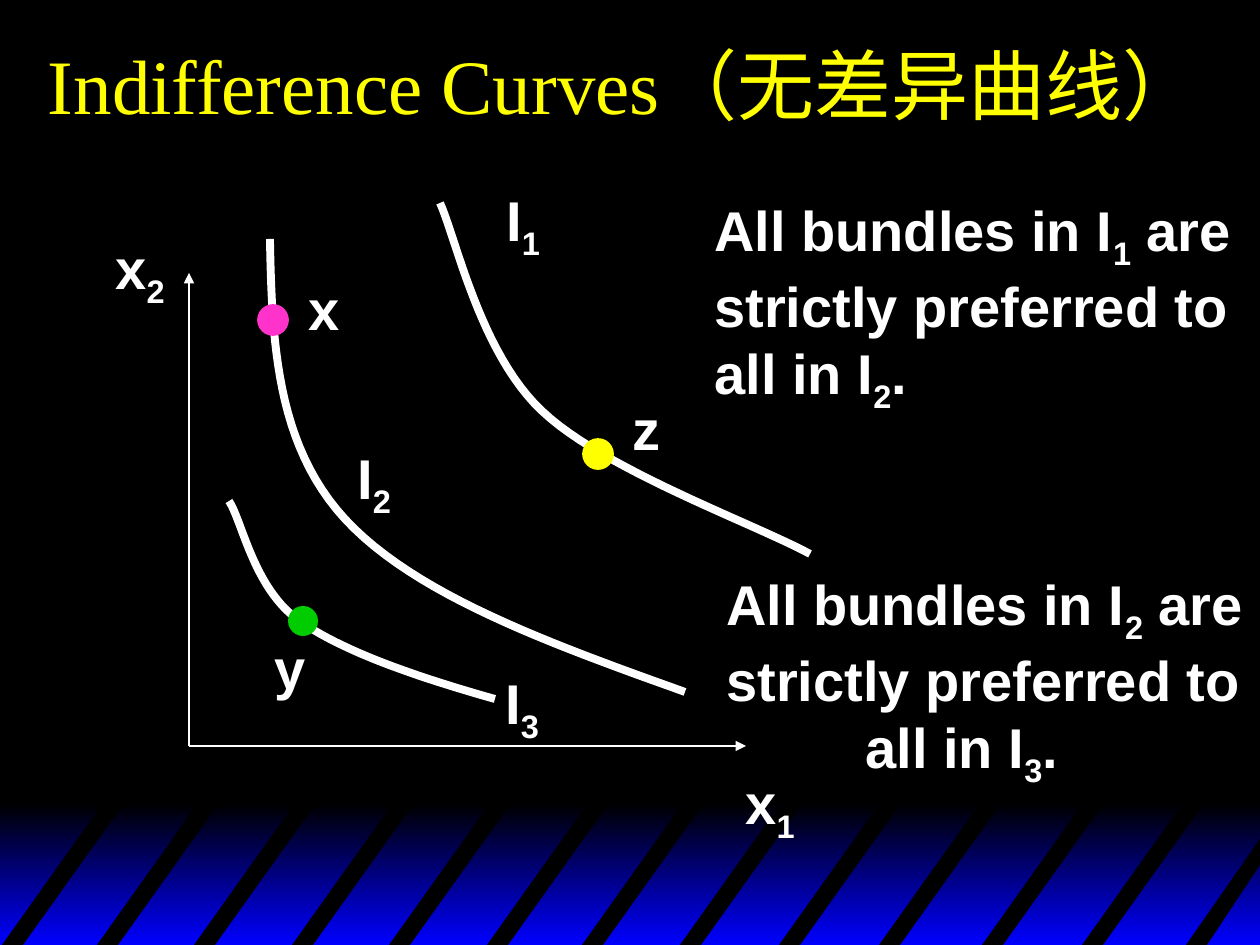
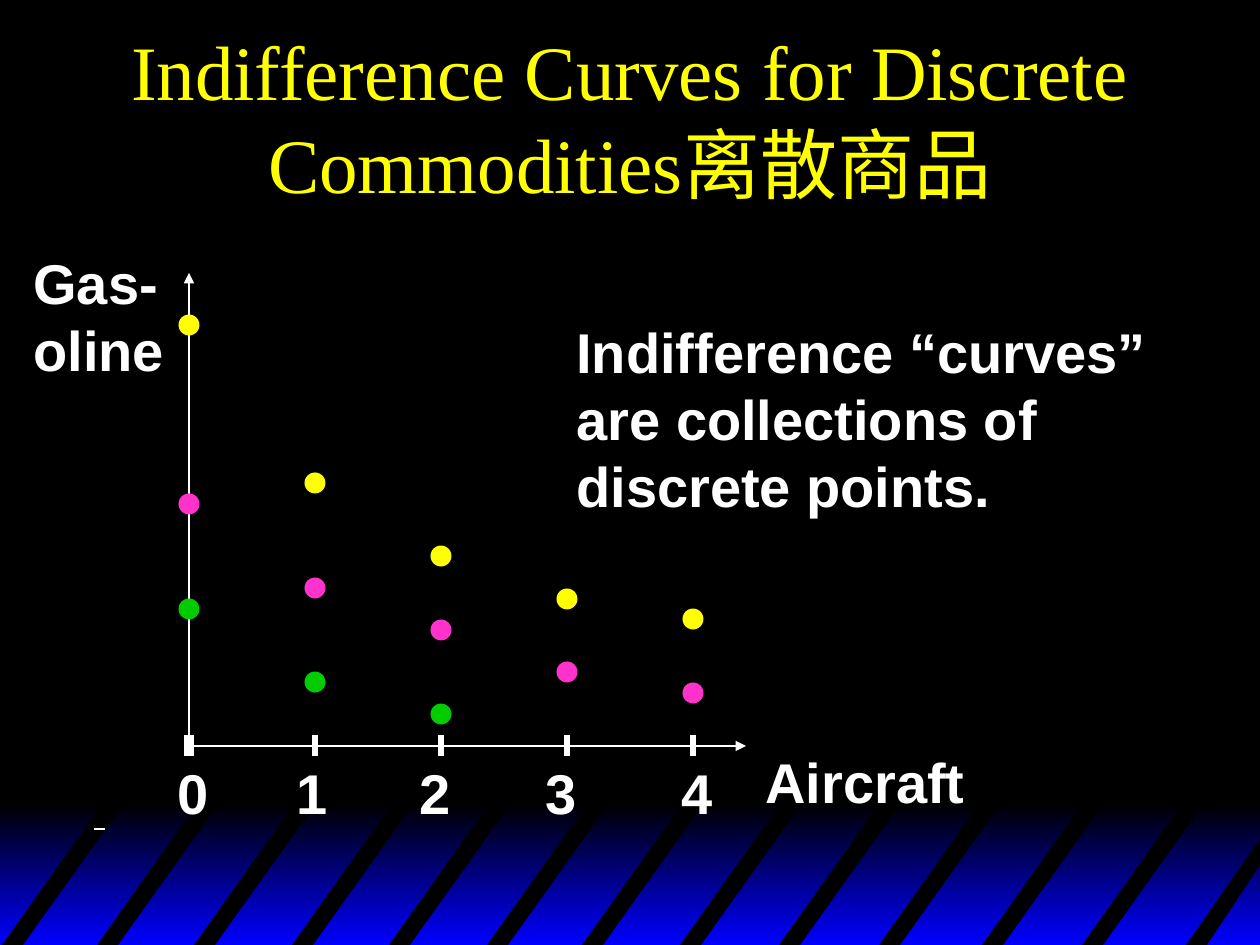
from collections import namedtuple

from lxml.etree import SubElement
from pptx import Presentation
from pptx.dml.color import RGBColor
from pptx.enum.shapes import MSO_CONNECTOR as Connector, MSO_SHAPE as Preset
from pptx.enum.text import MSO_ANCHOR as Anchor, PP_ALIGN as Align
from pptx.oxml.ns import qn
from pptx.util import Pt

EMU_PER_PX = 914400 / 126
COLOURS = {
    "black": "000000",
    "blue": "0000FF",
    "white": "FFFFFF",
    "yellow": "FFFF00",
    "pink": "FF33CC",
    "green": "00CC00",
}

Box = namedtuple("Box", "left top width height")
SLIDE = Box(0, 0, 1260, 945)
BAND = Box(0, 804, 1260, 141)
PLOT = Box(189, 273, 557, 473)
UNIT = 126  # one aircraft along the horizontal axis

STRIPE_LEFTS = (2, 97, 194, 292, 389, 487, 582, 680, 779, 879, 982, 1082)
STRIPE_WIDTH, STRIPE_SHIFT, STRIPE_RISE = 21, 104, 146

# Two joined Bezier pieces each, measured from the plot corner
INDIFFERENCE_CURVES = (
    ((81, -34), (83, 68), (87, 171), (156, 246), (226, 322), (362, 371), (496, 419)),
    ((40, 228), (53, 247), (64, 313), (108, 346), (152, 378), (228, 404), (306, 426)),
    ((251, -70), (267, -35), (291, 80), (353, 138), (415, 197), (566, 251), (621, 281)),
)
BUNDLES = (
    (84, 47, "pink", True),
    (114, 348, "green", False),
    (409, 181, "yellow", True),
)
CURVE_LABELS = (
    ("x_2", -86, -46), ("x_1", 544, 489), ("x", 107, -5), ("y", 73, 354),
    ("z", 431, 115), ("I_1", 305, -94), ("I_2", 156, 164), ("I_3", 304, 389),
)
DISCRETE_HEIGHTS = {
    "yellow": (52, 210, 283, 326, 346),
    "pink": (231, 315, 357, 399, 420),
    "green": (336, 409, 441),
}
COUNT_LABEL_LEFTS = (-24, 95, 218, 344, 480)


def px(length):
    return round(length * EMU_PER_PX)


def rgb(name):
    return RGBColor.from_string(COLOURS[name])


def add_text(slide, box, lines, size=32, font="Arial", bold=True, colour="white",
             align=Align.LEFT, anchor=Anchor.TOP):
    """Write one paragraph a line; the character after "_" is a subscript."""
    frame = slide.shapes.add_textbox(*map(px, box)).text_frame
    frame.word_wrap = True
    frame.vertical_anchor = anchor
    for index, line in enumerate(lines):
        paragraph = frame.paragraphs[0] if index == 0 else frame.add_paragraph()
        paragraph.alignment = align
        start, *rest = line.split("_")
        pieces = [(start, False)]
        for piece in rest:
            pieces += [(piece[0], True), (piece[1:], False)]
        for text, is_subscript in pieces:
            if not text:
                continue
            run = paragraph.add_run()
            run.text = text
            run.font.size = Pt(size)
            run.font.name = font
            run.font.bold = bold
            run.font.color.rgb = rgb(colour)
            if is_subscript:
                run.font._element.set("baseline", "-25000")
    return frame


def add_title(slide, box, title):
    add_text(slide, box, [title], size=44, font="Times New Roman", bold=False,
             colour="yellow", align=Align.CENTER, anchor=Anchor.MIDDLE)


def add_line(slide, start, end, weight=1, arrow=False):
    line = slide.shapes.add_connector(Connector.STRAIGHT, *map(px, start + end))
    line.line.color.rgb = rgb("white")
    line.line.width = Pt(weight)
    if arrow:
        SubElement(line.line._get_or_add_ln(), qn("a:tailEnd"), type="triangle")
    SubElement(line._element.spPr, qn("a:effectLst"))


def add_outline(slide, points, closed):
    start, *others = [(px(x), px(y)) for x, y in points]
    builder = slide.shapes.build_freeform(*start)
    builder.add_line_segments(others, close=closed)
    outline = builder.convert_to_shape()
    outline.shadow.inherit = False
    return outline


def add_dot(slide, x, y, size, colour, outlined=False):
    dot = slide.shapes.add_shape(
        Preset.OVAL, px(x - size / 2), px(y - size / 2), px(size), px(size))
    dot.shadow.inherit = False
    dot.fill.solid()
    dot.fill.fore_color.rgb = rgb(colour)
    if outlined:
        dot.line.color.rgb = rgb(colour)
        dot.line.width = Pt(1)
    else:
        dot.line.fill.background()


def add_striped_band(slide, box):
    glow = slide.shapes.add_shape(Preset.RECTANGLE, *map(px, box))
    glow.shadow.inherit = False
    glow.line.fill.background()
    glow.fill.gradient()
    glow.fill.gradient_angle = 270
    for stop, colour, position in zip(glow.fill.gradient_stops, ("black", "blue"), (0, 1)):
        stop.color.rgb = rgb(colour)
        stop.position = position

    right, bottom = box.left + box.width, box.top + box.height
    top = bottom - STRIPE_RISE
    stripes = []
    for offset in STRIPE_LEFTS:
        left = box.left + offset
        stripes.append((
            (left, bottom), (left + STRIPE_SHIFT, top),
            (left + STRIPE_SHIFT + STRIPE_WIDTH, top), (left + STRIPE_WIDTH, bottom)))
    stripes.append((
        (right - 74, bottom), (right, bottom - 106),
        (right, bottom - 80), (right - 53, bottom)))
    for points in stripes:
        stripe = add_outline(slide, points, closed=True)
        stripe.fill.solid()
        stripe.fill.fore_color.rgb = rgb("black")
        stripe.line.fill.background()


def add_axes(slide, plot):
    origin = (plot.left, plot.top + plot.height)
    add_line(slide, origin, (plot.left, plot.top), arrow=True)
    add_line(slide, origin, (plot.left + plot.width, origin[1]), arrow=True)


def bezier_points(controls, steps=24):
    points = [controls[0]]
    for first in range(0, len(controls) - 1, 3):
        piece = controls[first:first + 4]
        for step in range(1, steps + 1):
            t = step / steps
            weights = ((1 - t) ** 3, 3 * t * (1 - t) ** 2, 3 * t * t * (1 - t), t ** 3)
            points.append(tuple(
                sum(w * p[axis] for w, p in zip(weights, piece)) for axis in (0, 1)))
    return points


def add_smooth_curves(slide, plot):
    add_axes(slide, plot)
    for label, x, y in CURVE_LABELS:
        width = 80 if label.startswith("x_") else 70
        add_text(slide, Box(plot.left + x, plot.top + y, width, 84), [label])
    for controls in INDIFFERENCE_CURVES:
        points = [(plot.left + x, plot.top + y) for x, y in bezier_points(controls)]
        curve = add_outline(slide, points, closed=False)
        curve.fill.background()
        curve.line.color.rgb = rgb("white")
        curve.line.width = Pt(4.5)
    for x, y, colour, outlined in BUNDLES:
        add_dot(slide, plot.left + x, plot.top + y, 30, colour, outlined)


def add_discrete_points(slide, plot):
    add_axes(slide, plot)
    axis_y = plot.top + plot.height
    add_text(slide, Box(plot.left - 168, plot.top - 31, 158, 147), ["Gas-oline"])
    add_text(slide, Box(plot.left + 564, axis_y - 5, 232, 79), ["Aircraft"])
    add_line(slide, (plot.left - 84, axis_y + 83), (plot.left - 95, axis_y + 83))
    for count, label_left in enumerate(COUNT_LABEL_LEFTS):
        x = plot.left + count * UNIT
        add_line(slide, (x, axis_y - 11), (x, axis_y + 10), weight=4 if count else 6)
        add_text(slide, Box(plot.left + label_left, axis_y + 6, 60, 79), [str(count)])
    for colour, heights in DISCRETE_HEIGHTS.items():
        for count, y in enumerate(heights):
            add_dot(slide, plot.left + count * UNIT, plot.top + y, 21, colour)


def add_themed_slide(prs):
    slide = prs.slides.add_slide(prs.slide_layouts[6])
    add_striped_band(slide, BAND)
    return slide


def build_smooth_slide(prs):
    slide = add_themed_slide(prs)
    add_title(slide, Box(18, 0, 1212, 168), "Indifference Curves（无差异曲线）")
    add_smooth_curves(slide, PLOT)
    add_text(slide, Box(702, 189, 558, 233),
             ["All bundles in I_1 are", "strictly preferred to all in I_2."])
    ranking = add_text(slide, Box(714, 563, 546, 233),
                       ["All bundles in I_2 are strictly preferred to", "all in I_3."])
    ranking.paragraphs[1]._p.get_or_add_pPr().set("marL", str(px(139)))


def build_discrete_slide(prs):
    slide = add_themed_slide(prs)
    add_title(slide, Box(94, 32, 1072, 168),
              "Indifference Curves for Discrete Commodities离散商品")
    add_discrete_points(slide, PLOT)
    add_text(slide, Box(564, 311, 600, 214),
             ["Indifference “curves”", "are collections of", "discrete points."])


def main():
    prs = Presentation()
    prs.slide_width, prs.slide_height = px(SLIDE.width), px(SLIDE.height)
    backdrop = prs.slide_master.background.fill
    backdrop.solid()
    backdrop.fore_color.rgb = rgb("black")
    build_smooth_slide(prs)
    build_discrete_slide(prs)
    prs.save("out.pptx")


if __name__ == "__main__":
    main()
